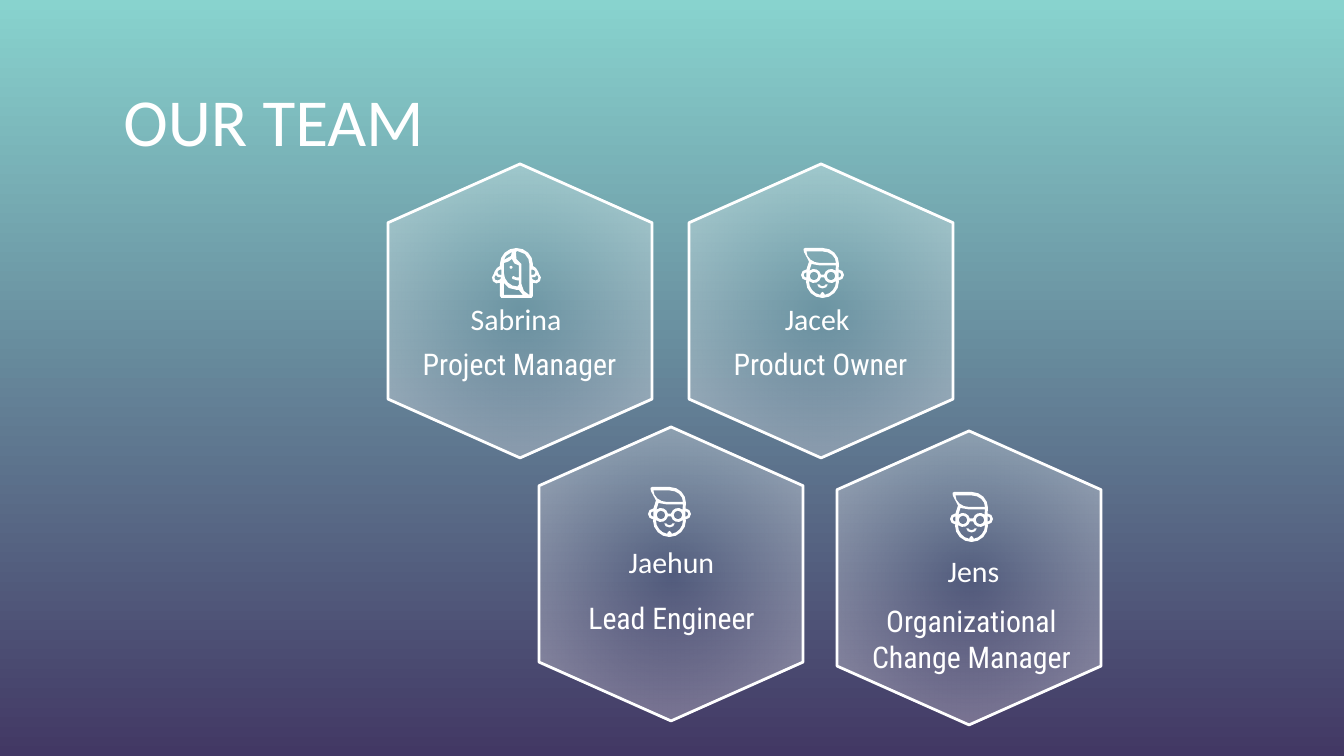
from dataclasses import dataclass
from math import cos, radians, sin

from lxml import etree
from pptx import Presentation
from pptx import util as u
from pptx.dml.color import RGBColor
from pptx.enum import shapes, text
from pptx.oxml.ns import qn

PX = u.Inches(10) / 1344
DETAIL = 100
HEX_WIDTH, HEX_HEIGHT = 264, 294
LABEL_WIDTH, NAME_HEIGHT, ROLE_HEIGHT = 231, 85, 54
WOMAN_WIDTH = 49


@dataclass(frozen=True)
class Theme:
    white: RGBColor = RGBColor(0xFF, 0xFF, 0xFF)
    sky: RGBColor = RGBColor(0x88, 0xD3, 0xCE)
    dusk: RGBColor = RGBColor(0x42, 0x38, 0x64)
    edge_opacity: int = 39
    heading_font: str = "Calibri"
    role_font: str = "Roboto Condensed"
    title_size: int = 36
    label_size: int = 16
    outline: float = 1.5


THEME = Theme()


def px(*lengths):
    return [u.Emu(round(length * PX)) for length in lengths]


def arc(x, y, radius_x, radius_y, start, end, steps=4):
    angles = [radians(start + (end - start) * i / steps) for i in range(steps + 1)]
    return [(x + radius_x * cos(a), y + radius_y * sin(a)) for a in angles]


def circle(x, y, radius):
    return arc(x, y, radius, radius, 0, 315, 7)


def mirror(points):
    return [(WOMAN_WIDTH - x, y) for x, y in reversed(points)]


def write(shape, words, font, size, anchor, alignment):
    frame = shape.text_frame
    frame.text = words
    frame.word_wrap = True
    frame.auto_size = text.MSO_AUTO_SIZE.NONE
    frame.vertical_anchor = anchor
    frame.margin_left = frame.margin_right = u.Inches(0.1)
    frame.margin_top = frame.margin_bottom = u.Inches(0.1)
    paragraph = frame.paragraphs[0]
    paragraph.alignment = alignment
    run_font = paragraph.runs[0].font
    run_font.name, run_font.size = font, u.Pt(size)
    run_font.color.rgb = THEME.white


def add_outline(group, left, top, *contours):
    scaled = [[((left + x) * DETAIL, (top + y) * DETAIL) for x, y in contour]
              for contour in contours]
    builder = group.shapes.build_freeform(*scaled[0][0], scale=PX / DETAIL)
    builder.add_line_segments(scaled[0][1:], close=True)
    for contour in scaled[1:]:
        builder.move_to(*contour[0])
        builder.add_line_segments(contour[1:], close=True)
    outline = builder.convert_to_shape()
    outline.shadow.inherit = False
    outline.fill.solid()
    outline.fill.fore_color.rgb = THEME.white
    outline.line.fill.background()


def add_man(slide, left, top):
    group = slide.shapes.add_group_shape()
    mouth = arc(21.5, 36.5, 5.2, 4, 0, 180) + arc(21.5, 36.5, 3, 1.7, 180, 0)
    head = [(4, 0), *arc(22, 16, 16, 16, -90, 0), *arc(37.5, 27, 5.5, 5.5, -90, 90),
            *arc(21.5, 33.5, 16.5, 16.5, 0, 180, 8), *arc(5.5, 27, 5.5, 5.5, 90, 270),
            (8, 13.5), (3, 4), (2.5, 1)]
    hair = [(5.5, 3.5), *arc(22, 15, 13, 11.5, -90, 0), *arc(19, 3.5, 13.5, 11.5, 90, 180)]
    forehead = [(10.5, 16), (19, 17.5), (35, 17.5), *arc(30, 28, 7, 7, -50, -168),
                *arc(13, 28, 7, 7, -12, -130)]
    cheeks = [*arc(30, 28, 7, 7, 168, 50), *arc(21.5, 33.5, 13.5, 13.5, 0, 80),
              (23, 45), (21.5, 44), (20, 45), *arc(21.5, 33.5, 13.5, 13.5, 100, 180),
              *arc(13, 28, 7, 7, 130, 12)]
    ears = arc(5.5, 27, 2.7, 2.7, 90, 270), arc(37.5, 27, 2.7, 2.7, -90, 90)
    lenses = circle(13, 28, 4.3), circle(30, 28, 4.3)
    add_outline(group, left, top, mouth)
    add_outline(group, left, top, head, hair, forehead, cheeks, *ears, *lenses)


def add_woman(slide, left, top):
    group = slide.shapes.add_group_shape()
    left_side = [(9.5, 50), (8, 48), (8, 35), *arc(5.5, 30, 5.5, 5.5, 60, 230),
                 (2.5, 24), (5, 20), (8, 18)]
    head = [*left_side, *arc(24.5, 16, 16.5, 16, 180, 360, 8), *mirror(left_side)]
    fringe = [(20, 4), (19, 8), (12, 12), (14, 8)]
    ear = [(9.5, 21.5), (9.5, 27), (6.5, 26.5), (5.5, 24), (7, 22)]
    earring = [(4, 27), (6, 29), (9.5, 29.5), (8, 31.5), (5.5, 32.5), (3, 31.5), (2.5, 29)]
    face = [(20, 11), (22.5, 15.5), (27, 17.5), (27, 29.5), (24.5, 29.5), (21.5, 28),
            (20, 29), (20.5, 31), (25, 32.3), (27, 32.3), (27, 36.5),
            *arc(25.5, 25, 13.5, 13.5, 90, 180), (12, 15), (16.5, 13.5)]
    strand = [(25.5, 3), (33, 6), (36.5, 11), (37.5, 16), (37.5, 47), (32, 43),
              (29.5, 36), (29.5, 16), (28, 14.5), (24.5, 11), (24, 4)]
    neck = [(12, 35), (17, 40), (25, 42), (27, 42), (31, 47), (12, 47)]
    add_outline(group, left, top, circle(19, 19.3, 1.5))
    add_outline(group, left, top, head, fringe, face, strand, neck,
                ear, mirror(ear), earring, mirror(earring))


def add_hexagon(slide, left, top):
    inset = (HEX_HEIGHT - HEX_WIDTH) / 2
    box = px(left - inset, top + inset, HEX_HEIGHT, HEX_WIDTH)
    hexagon = slide.shapes.add_shape(shapes.MSO_SHAPE.FLOWCHART_PREPARATION, *box)
    hexagon.rotation = 90
    hexagon.shadow.inherit = False
    hexagon.line.color.rgb = THEME.white
    hexagon.line.width = u.Pt(THEME.outline)
    hexagon.fill.gradient()
    for stop in hexagon.fill.gradient_stops:
        stop.color.rgb = THEME.white
    gradient = hexagon._element.spPr.find(qn("a:gradFill"))
    for color, opacity in zip(gradient.iter(qn("a:srgbClr")), (0, THEME.edge_opacity)):
        etree.SubElement(color, qn("a:alpha"), val=str(opacity * 1000))
    linear = gradient.find(qn("a:lin"))
    radial = etree.Element(qn("a:path"), path="circle")
    etree.SubElement(radial, qn("a:fillToRect"), l="50000", t="50000", r="50000", b="50000")
    gradient.replace(linear, radial)


def add_label(slide, left, top, height, words, font, anchor):
    label = slide.shapes.add_textbox(*px(left, top, LABEL_WIDTH, height))
    write(label, words, font, THEME.label_size, anchor, text.PP_ALIGN.CENTER)


def add_member(slide, left, top, name, role, add_icon, icon_at, name_at, role_at):
    add_hexagon(slide, left, top)
    add_icon(slide, left + icon_at[0], top + icon_at[1])
    add_label(slide, left + name_at[0], top + name_at[1], NAME_HEIGHT, name,
              THEME.heading_font, text.MSO_ANCHOR.BOTTOM)
    add_label(slide, left + role_at[0], top + role_at[1], ROLE_HEIGHT, role,
              THEME.role_font, text.MSO_ANCHOR.TOP)


def add_title(slide, left, top, width, height):
    title = slide.shapes.title
    title.left, title.top, title.width, title.height = px(left, top, width, height)
    write(title, "OUR TEAM", THEME.heading_font, THEME.title_size,
          text.MSO_ANCHOR.BOTTOM, text.PP_ALIGN.LEFT)


def paint_background(slide):
    fill = slide.background.fill
    fill.gradient()
    fill.gradient_angle = 270
    for stop, color in zip(fill.gradient_stops, (THEME.sky, THEME.dusk)):
        stop.color.rgb = color


def main():
    presentation = Presentation()
    presentation.slide_width, presentation.slide_height = px(1344, 756)
    slide = presentation.slides.add_slide(presentation.slide_layouts[5])
    paint_background(slide)
    add_title(slide, 110, 75, 437, 98)
    members = [
        (388, 164, "Sabrina ", "Project Manager", add_woman, (104, 84), (16, 101), (16, 168)),
        (689, 164, "Jacek ", "Product Owner", add_man, (112, 84), (16, 101), (16, 168)),
        (539, 427, "Jaehun", "Lead Engineer", add_man, (109, 60), (17, 81), (17, 159)),
        (837, 431, "Jens", "Organizational Change Manager", add_man,
         (113, 61), (21, 86), (19, 158)),
    ]
    for member in members:
        add_member(slide, *member)
    presentation.save("out.pptx")


if __name__ == "__main__":
    main()
